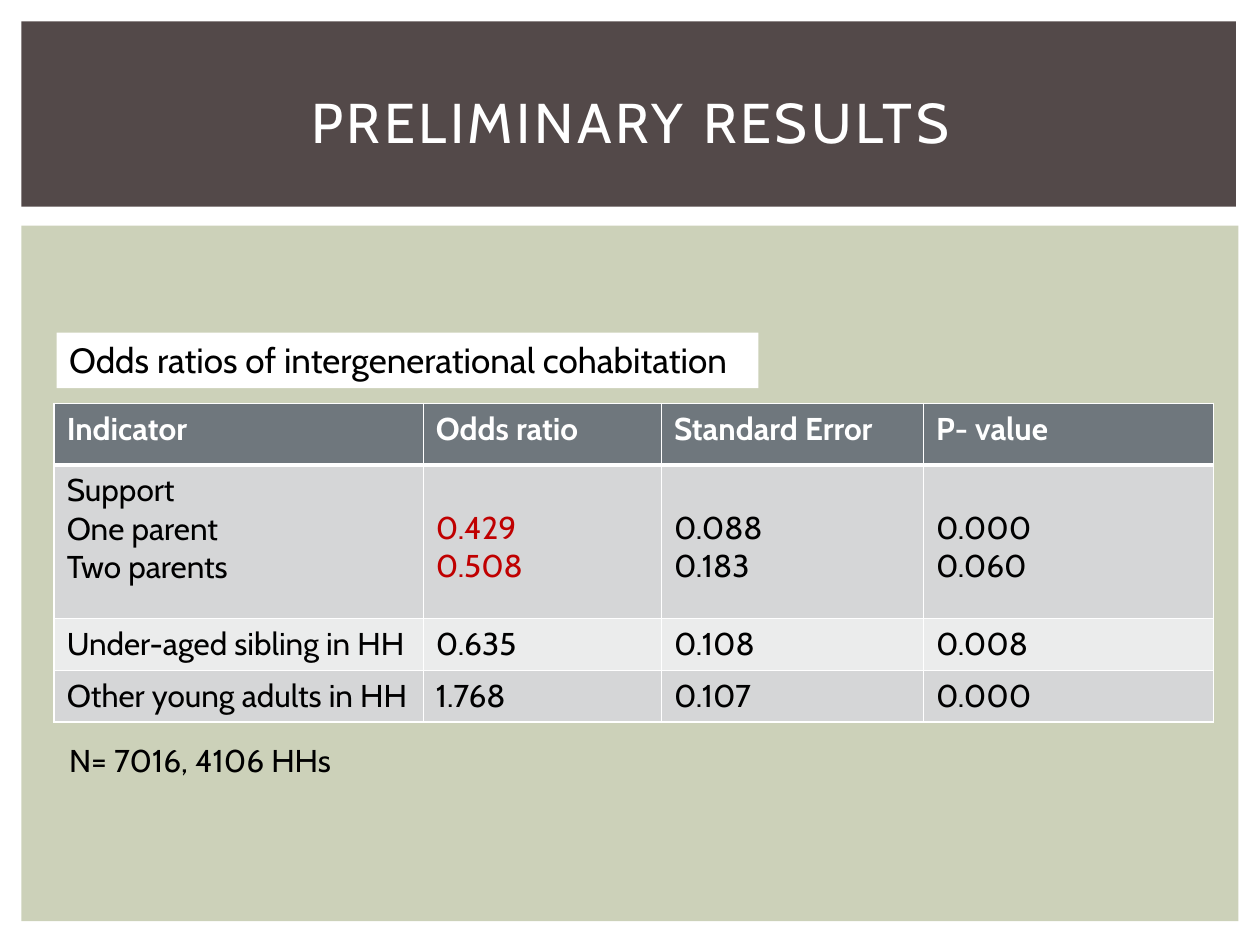
from typing import NamedTuple

from lxml import etree
from pptx import Presentation
from pptx.dml.color import RGBColor
from pptx.enum.shapes import MSO_SHAPE
from pptx.enum.text import MSO_ANCHOR, PP_ALIGN
from pptx.oxml.ns import qn
from pptx.util import Inches, Pt

RECTANGLE = MSO_SHAPE.RECTANGLE
TOP, MIDDLE = MSO_ANCHOR.TOP, MSO_ANCHOR.MIDDLE
LEFT, CENTER = PP_ALIGN.LEFT, PP_ALIGN.CENTER

WIDTH, HEIGHT = Inches(10), Inches(7.5)
FONT = "Cabin"
WHITE, BLACK, RED = "FFFFFF", "000000", "C00000"
BROWN, SAGE = "534949", "CCD1B9"
HEADER_FILL, BAND_FILLS = "6F777D", ("D5D6D7", "EBECEC")
CELL_MARGIN, LINE_HEIGHT = 0.05, 0.3


class Box(NamedTuple):
    """A place on the slide, in percent of its width and height."""
    left: float
    top: float
    width: float
    height: float


class TextStyle(NamedTuple):
    size: int
    color: str = BLACK
    bold: bool = False
    align: PP_ALIGN = LEFT


class Entry(NamedTuple):
    text: str
    color: str = BLACK
    skipped_lines: int = 0


BANNER = Box(1.7, 2.27, 96.4, 19.6)
PANEL = Box(1.7, 23.87, 96.6, 73.6)
TITLE = Box(4.2, 5.2, 91.7, 15.33)
CAPTION = Box(4.5, 35.2, 55.7, 5.87)
RESULTS = Box(4.3, 42.67, 92, 33.73)
NOTE = Box(4.5, 77.73, 29.7, 5.33)

COLUMN_WIDTHS = (29.3, 18.9, 20.8, 23)
ROW_HEIGHTS = (6.53, 16.27, 5.47, 5.47)
HEADER = ("Indicator", "Odds ratio", "Standard Error", "P- value")
ROWS = (
    (Entry("Support\nOne parent\nTwo parents"),
     Entry("0.429\n0.508", RED, 1),
     Entry("0.088\n0.183", skipped_lines=1),
     Entry("0.000\n0.060", skipped_lines=1)),
    tuple(map(Entry, ("Under-aged sibling in HH", "0.635", "0.108", "0.008"))),
    tuple(map(Entry, ("Other young adults in HH", "1.768", "0.107", "0.000"))),
)


def rgb(color: str) -> RGBColor:
    return RGBColor.from_string(color)


def across(percent: float) -> int:
    return int(WIDTH * percent / 100)


def down(percent: float) -> int:
    return int(HEIGHT * percent / 100)


def place(box: Box) -> tuple:
    return across(box.left), down(box.top), across(box.width), down(box.height)


def paint(target, color: str) -> None:
    target.fill.solid()
    target.fill.fore_color.rgb = rgb(color)


def write(frame, text: str, style: TextStyle) -> None:
    """Put each line of the text in its own paragraph."""
    frame.text = text
    for para in frame.paragraphs:
        para.alignment = style.align
        para.font.name = FONT
        para.font.size = Pt(style.size)
        para.font.bold = style.bold
        para.font.color.rgb = rgb(style.color)


def add_rectangle(page, box: Box, color: str):
    shape = page.shapes.add_shape(RECTANGLE, *place(box))
    shape.shadow.inherit = False
    paint(shape, color)
    shape.line.fill.background()
    return shape


def add_text(page, box: Box, text: str, style: TextStyle, anchor: MSO_ANCHOR = TOP):
    frame = page.shapes.add_textbox(*place(box)).text_frame
    frame.word_wrap = True
    frame.vertical_anchor = anchor
    write(frame, text, style)
    return frame


def set_borders(cell, bottom: int) -> None:
    """Draw white cell edges; the bottom width is in points."""
    properties = cell._tc.get_or_add_tcPr()
    edges = (("lnL", 1), ("lnR", 1), ("lnT", 1), ("lnB", bottom))
    for index, (edge, points) in enumerate(edges):
        line = etree.Element(qn(f"a:{edge}"), w=str(Pt(points)))
        fill = etree.SubElement(line, qn("a:solidFill"))
        etree.SubElement(fill, qn("a:srgbClr"), val=WHITE)
        properties.insert(index, line)


def fill_cell(cell, entry: Entry, fill: str, bold: bool, bottom: int) -> None:
    write(cell.text_frame, entry.text, TextStyle(18, entry.color, bold))
    cell.margin_top = Inches(CELL_MARGIN + LINE_HEIGHT * entry.skipped_lines)
    paint(cell, fill)
    set_borders(cell, bottom)


def add_results(page) -> None:
    table = page.shapes.add_table(
        len(ROW_HEIGHTS), len(COLUMN_WIDTHS), *place(RESULTS)).table
    for column, width in zip(table.columns, COLUMN_WIDTHS):
        column.width = across(width)
    for row, height in zip(table.rows, ROW_HEIGHTS):
        row.height = down(height)
    for cell, text in zip(table.rows[0].cells, HEADER):
        fill_cell(cell, Entry(text, WHITE), HEADER_FILL, bold=True, bottom=3)
    for index, entries in enumerate(ROWS):
        for cell, entry in zip(table.rows[index + 1].cells, entries):
            fill_cell(cell, entry, BAND_FILLS[index % 2], bold=False, bottom=1)
    for cell in table.rows[1].cells:
        cell._tc.tcPr.find(qn("a:lnT")).set("w", str(Pt(3)))


def main() -> None:
    deck = Presentation()
    deck.slide_width, deck.slide_height = WIDTH, HEIGHT
    page = deck.slides.add_slide(deck.slide_layouts[6])

    add_rectangle(page, PANEL, SAGE)
    add_rectangle(page, BANNER, BROWN)
    title = add_text(page, TITLE, "PRELIMINARY RESULTS",
                     TextStyle(32, WHITE, align=CENTER), MIDDLE)
    title.paragraphs[0].runs[0]._r.get_or_add_rPr().set("spc", "200")

    add_results(page)
    caption = add_rectangle(page, CAPTION, WHITE).text_frame
    caption.word_wrap = True
    caption.vertical_anchor = TOP
    write(caption, "Odds ratios of intergenerational cohabitation", TextStyle(20))
    add_text(page, NOTE, "N= 7016, 4106 HHs", TextStyle(18))

    deck.save("out.pptx")


if __name__ == "__main__":
    main()
